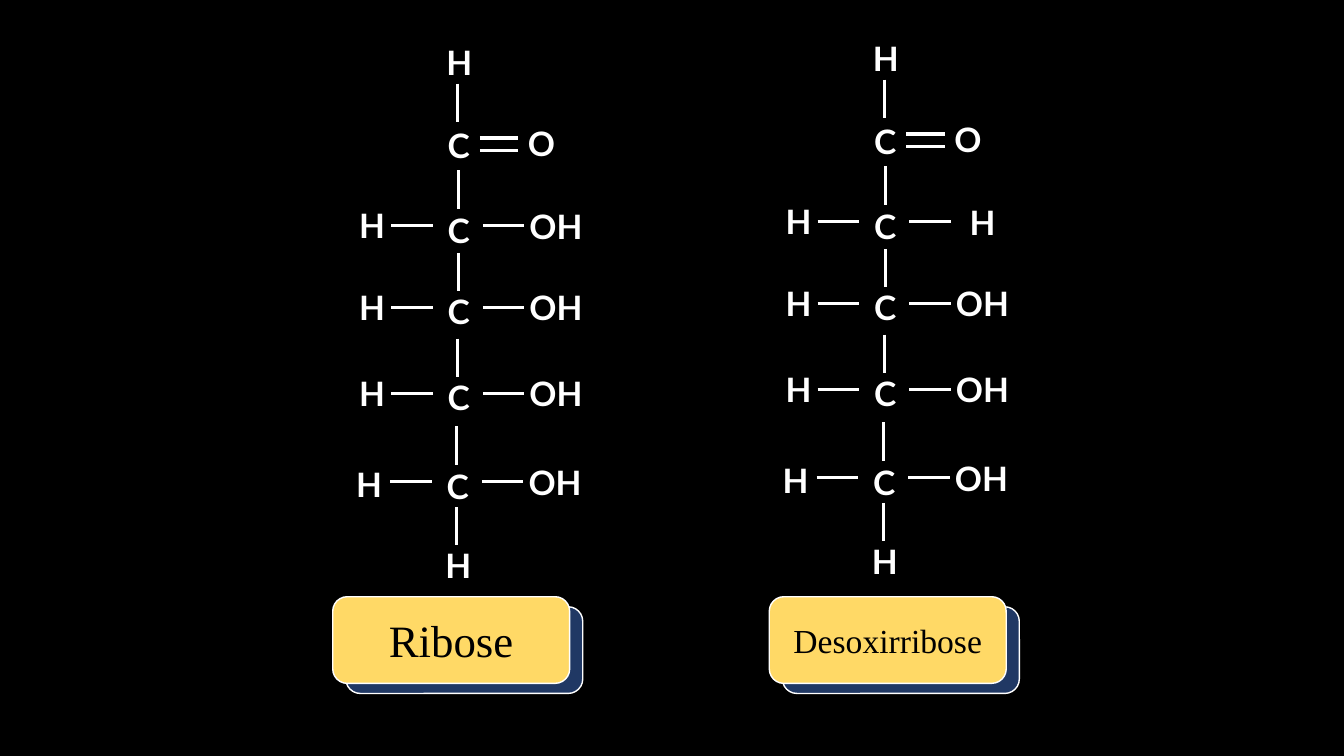
from dataclasses import dataclass

from lxml.etree import SubElement
from pptx import Presentation
from pptx.dml.color import RGBColor
from pptx.enum.shapes import MSO_CONNECTOR, MSO_SHAPE
from pptx.enum.text import MSO_ANCHOR, MSO_AUTO_SIZE, PP_ALIGN
from pptx.oxml.ns import qn
from pptx.util import Inches, Pt


@dataclass(frozen=True)
class Theme:
    background: RGBColor = RGBColor.from_string("000000")
    chalk: RGBColor = RGBColor.from_string("FFFFFF")
    plate: RGBColor = RGBColor.from_string("FFD966")
    backing: RGBColor = RGBColor.from_string("203864")
    name_color: RGBColor = RGBColor.from_string("000000")
    atom_font: str = "Lato"
    name_font: str = "Times New Roman"
    atom_size: float = 24
    bond_width: float = 2.25
    outline_width: float = 1


@dataclass(frozen=True)
class Sugar:
    name: str
    name_size: int
    axis: float
    top: float
    plate_left: float
    right_groups: tuple


@dataclass(frozen=True)
class CarbonRow:
    carbon: float
    bond_end: float
    hydrogen: float
    carbon_shift: float = 0
    bond_shift: float = 0
    hydrogen_shift: float = 0


FIRST_CARBON = CarbonRow(0.82, 0.84, 0.80, bond_shift=-0.01)
SIDE_ROWS = (
    CarbonRow(1.66, 1.70, 1.61),
    CarbonRow(2.47, 2.52, 2.43),
    CarbonRow(3.32, 3.37, 3.28, bond_shift=-0.01),
    CarbonRow(4.20, 4.24, 4.18, -0.01, -0.02, -0.03),
)
SUGARS = (
    Sugar("Ribose", 32, 4.55, 0.37, 3.30, ("OH", "OH", "OH", "OH")),
    Sugar("Desoxirribose", 24, 8.78, 0.33, 7.63, ("H", "OH", "OH", "OH")),
)


class SugarSlide:
    def __init__(self, page, theme):
        self.page = page
        self.theme = theme
        self.shapes = page.shapes
        page.background.fill.solid()
        page.background.fill.fore_color.rgb = theme.background

    def label(self, frame, text, font, size, color, bold=False):
        frame.text = text
        para = frame.paragraphs[0]
        para.alignment = PP_ALIGN.CENTER
        span = para.runs[0]
        span.font.name = font
        span.font.size = Pt(size)
        span.font.bold = bold
        span.font.color.rgb = color

    def plate(self, left, top, color):
        box = self.shapes.add_shape(
            MSO_SHAPE.ROUNDED_RECTANGLE,
            Inches(left), Inches(top), Inches(2.35), Inches(0.86),
        )
        box.shadow.inherit = False
        box.fill.solid()
        box.fill.fore_color.rgb = color
        box.line.color.rgb = self.theme.chalk
        box.line.width = Pt(self.theme.outline_width)
        return box

    def name_plate(self, sugar):
        theme = self.theme
        self.plate(sugar.plate_left + 0.13, 6.02, theme.backing)
        box = self.plate(sugar.plate_left, 5.92, theme.plate)
        box.text_frame.vertical_anchor = MSO_ANCHOR.MIDDLE
        self.label(box.text_frame, sugar.name, theme.name_font, sugar.name_size, theme.name_color)

    def atom(self, text, left, top, width=0.52):
        box = self.shapes.add_textbox(Inches(left), Inches(top), Inches(width), Inches(0.5))
        box.text_frame.word_wrap = True
        box.text_frame.auto_size = MSO_AUTO_SIZE.SHAPE_TO_FIT_TEXT
        theme = self.theme
        self.label(box.text_frame, text, theme.atom_font, theme.atom_size, theme.chalk, bold=True)

    def bond(self, left, top, width=0.0, height=0.0):
        line = self.shapes.add_connector(
            MSO_CONNECTOR.STRAIGHT,
            Inches(left), Inches(top), Inches(left + width), Inches(top + height),
        )
        line.line.color.rgb = self.theme.chalk
        line.line.width = Pt(self.theme.bond_width)
        SubElement(line._element.spPr, qn("a:effectLst"))

    def upper_bond(self, axis, end):
        self.bond(axis, end - 0.38, height=0.38)

    def carbon(self, sugar, row):
        self.upper_bond(sugar.axis + row.bond_shift, sugar.top + row.bond_end)
        self.atom("C", sugar.axis - 0.26 + row.carbon_shift, sugar.top + row.carbon)

    def double_bonded_oxygen(self, sugar):
        self.shapes = self.page.shapes.add_group_shape().shapes
        for drop in (1.0, 1.12):
            self.bond(sugar.axis + 0.21, sugar.top + drop, width=0.38)
        self.atom("O", sugar.axis + 0.56, sugar.top + 0.8)
        self.shapes = self.page.shapes

    def side_groups(self, sugar, row, right_group):
        axis = sugar.axis + row.carbon_shift
        level = sugar.top + row.carbon + 0.21
        for offset in (-0.67, 0.24):
            self.bond(axis + offset, level, width=0.41)
        self.atom("H", sugar.axis - 1.12 + row.hydrogen_shift, sugar.top + row.hydrogen)
        self.atom(right_group, axis + 0.6, sugar.top + row.carbon - 0.04, width=0.73)

    def molecule(self, sugar):
        self.name_plate(sugar)
        self.atom("H", sugar.axis - 0.29, sugar.top, width=0.59)
        self.carbon(sugar, FIRST_CARBON)
        self.double_bonded_oxygen(sugar)
        for row, right_group in zip(SIDE_ROWS, sugar.right_groups):
            self.carbon(sugar, row)
            self.side_groups(sugar, row, right_group)
        self.upper_bond(sugar.axis - 0.02, sugar.top + 5.04)
        self.atom("H", sugar.axis - 0.3, sugar.top + 4.99, width=0.59)


def main():
    deck = Presentation()
    deck.slide_width = Inches(13.33)
    deck.slide_height = Inches(7.5)
    slide = SugarSlide(deck.slides.add_slide(deck.slide_layouts[6]), Theme())
    for sugar in SUGARS:
        slide.molecule(sugar)
    deck.save("out.pptx")


if __name__ == "__main__":
    main()
